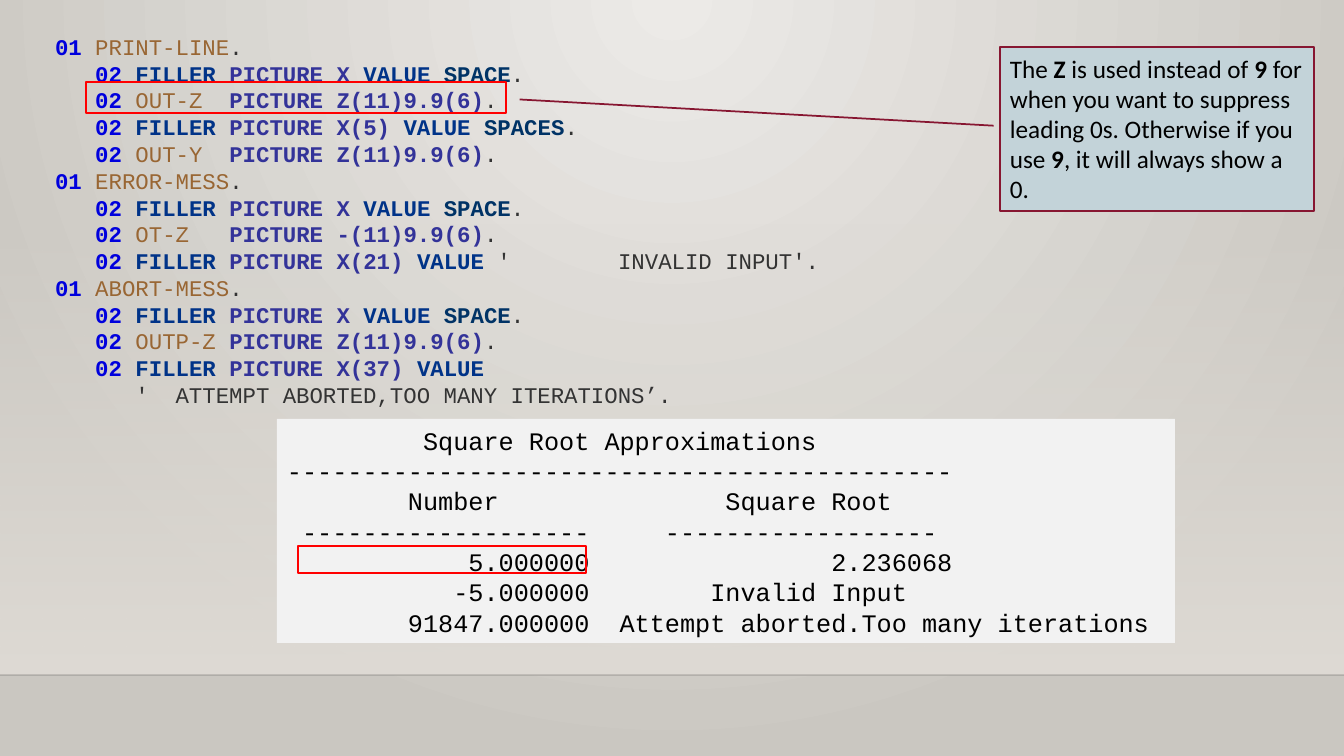
import dataclasses

import lxml.etree
import pptx
import pptx.dml.color
import pptx.enum.dml
import pptx.enum.shapes
import pptx.enum.text
import pptx.oxml
import pptx.oxml.ns
import pptx.util

SHAPE = pptx.enum.shapes.MSO_SHAPE
ANCHOR = pptx.enum.text.MSO_ANCHOR
PX = 914400 / 100.8


@dataclasses.dataclass(frozen=True)
class Theme:
    mono: str = "Courier New"
    sans: str = "Calibri"
    code_size: int = 16
    report_size: int = 18
    note_size: int = 18
    code_pitch: float = 19.12
    report_pitch: float = 21.67
    note_pitch: float = 21.43
    center: str = "ECEAE7"
    edge: str = "CAC7C1"
    wall: str = "DFDBD5"
    floor: str = "000001"
    ink: str = "000000"
    mark: str = "FF0000"
    report: str = "F2F2F2"
    note: str = "C3D3D9"
    note_line: str = "871631"
    outline: float = 1.25
    level: str = "0000DD"
    name: str = "996633"
    word: str = "003388"
    picture: str = "333399"
    constant: str = "003366"
    plain: str = "333333"


def px(length):
    return pptx.util.Emu(round(length * PX))


def rgb(value):
    return pptx.dml.color.RGBColor.from_string(value)


def apply(target, formats):
    for key, value in formats.items():
        setattr(target, key, value)


class SlideBuilder:
    def __init__(self, slide, theme):
        self.slide = slide
        self.theme = theme

    def gradient(self, fill, colors):
        fill.gradient()
        for stop, color in zip(fill.gradient_stops, colors):
            stop.color.rgb = rgb(color)

    def alpha(self, color_node, percent):
        lxml.etree.SubElement(color_node, pptx.oxml.ns.qn("a:alpha"), val=str(percent * 1000))

    def background(self):
        background = self.slide.background
        self.gradient(background.fill, (self.theme.center, self.theme.edge))
        linear = next(self.slide.element.iter(pptx.oxml.ns.qn("a:lin")))
        radial = pptx.oxml.parse_xml(
            f'<a:path {pptx.oxml.ns.nsdecls("a")} path="circle">'
            '<a:fillToRect l="43000" t="0" r="43000" b="100000"/></a:path>')
        linear.getparent().replace(linear, radial)

    def shape(self, kind, box, fill=None, line=None):
        shape = self.slide.shapes.add_shape(kind, *map(px, box))
        shape.shadow.inherit = False
        if fill:
            shape.fill.solid()
            shape.fill.fore_color.rgb = rgb(fill)
        else:
            shape.fill.background()
        if line:
            shape.line.color.rgb = rgb(line)
            shape.line.width = pptx.util.Pt(self.theme.outline)
        else:
            shape.line.fill.background()
        return shape

    def wall(self, box):
        wall = self.shape(SHAPE.RECTANGLE, box)
        self.gradient(wall.fill, (self.theme.wall, self.theme.wall))
        wall.fill.gradient_angle = 270
        first_color = next(wall.element.iter(pptx.oxml.ns.qn("a:srgbClr")))
        self.alpha(first_color, 0)

    def floor_line(self, y, width):
        line = self.slide.shapes.add_connector(
            pptx.enum.shapes.MSO_CONNECTOR.STRAIGHT, 0, px(y), px(width), px(y))
        line.line.color.rgb = rgb(self.theme.floor)
        line.line.width = pptx.util.Pt(1)
        self.alpha(next(line.element.iter(pptx.oxml.ns.qn("a:srgbClr"))), 20)
        lxml.etree.SubElement(line.element.spPr, pptx.oxml.ns.qn("a:effectLst"))

    def set_text(self, shape, lines, font, size, pitch, anchor, inset=(10, 5)):
        frame = shape.text_frame
        across, down = map(px, inset)
        apply(frame, {"word_wrap": True, "vertical_anchor": anchor,
                      "margin_left": across, "margin_right": across,
                      "margin_top": down, "margin_bottom": down})
        for index, line in enumerate(lines):
            paragraph = frame.add_paragraph() if index else frame.paragraphs[0]
            apply(paragraph, {"alignment": pptx.enum.text.PP_ALIGN.LEFT,
                              "line_spacing": pptx.util.Pt(pitch)})
            for text, color, bold in line:
                run = paragraph.add_run()
                run.text = text
                apply(run.font, {"name": font, "size": pptx.util.Pt(size), "bold": bold})
                run.font.color.rgb = rgb(color)

    def code(self, box, lines):
        listing = self.slide.shapes.add_textbox(*map(px, box))
        self.set_text(listing, lines, self.theme.mono, self.theme.code_size,
                      self.theme.code_pitch, ANCHOR.TOP, (10, 0))

    def report(self, box, lines):
        panel = self.shape(SHAPE.RECTANGLE, box, fill=self.theme.report)
        rows = [[(line, self.theme.ink, False)] for line in lines]
        self.set_text(panel, rows, self.theme.mono, self.theme.report_size,
                      self.theme.report_pitch, ANCHOR.MIDDLE)

    def highlight(self, box):
        self.shape(SHAPE.RECTANGLE, box, line=self.theme.mark)

    def callout(self, box, pointer, parts):
        note = self.shape(SHAPE.LINE_CALLOUT_1, box, self.theme.note, self.theme.note_line)
        for index, value in enumerate(pointer):
            note.adjustments[index] = value
        words = [(text, self.theme.ink, bold) for text, bold in parts]
        self.set_text(note, [words], self.theme.sans, self.theme.note_size,
                      self.theme.note_pitch, ANCHOR.MIDDLE)


def group(theme, name):
    return [("01 ", theme.level, True), (name, theme.name, False), (".", theme.plain, False)]


def field(theme, name, picture):
    return [("   ", theme.plain, False), ("02 ", theme.level, True),
            (name, theme.name, False), ("PICTURE " + picture, theme.picture, True),
            (".", theme.plain, False)]


def filler(theme, picture, *value):
    return [("   ", theme.plain, False), ("02 ", theme.level, True),
            ("FILLER ", theme.word, True), (f"PICTURE {picture} ", theme.picture, True),
            ("VALUE ", theme.word, True), *value]


def constant(theme, word):
    return (word, theme.constant, True), (".", theme.plain, False)


def main():
    presentation = pptx.Presentation()
    apply(presentation, {"slide_width": px(1344), "slide_height": px(756)})
    theme = Theme()
    slide = presentation.slides.add_slide(presentation.slide_layouts[6])
    builder = SlideBuilder(slide, theme)
    builder.background()
    builder.wall((0, 223, 1344, 452))
    builder.floor_line(675, 1344)

    blank = filler(theme, "X", *constant(theme, "SPACE"))
    number = "Z(11)9.9(6)"
    builder.code((45, 33, 904, 375), [
        group(theme, "PRINT-LINE"),
        blank,
        field(theme, "OUT-Z  ", number),
        filler(theme, "X(5)", *constant(theme, "SPACES")),
        field(theme, "OUT-Y  ", number),
        group(theme, "ERROR-MESS"),
        blank,
        field(theme, "OT-Z   ", "-(11)9.9(6)"),
        filler(theme, "X(21)", ("'        INVALID INPUT'.", theme.plain, False)),
        group(theme, "ABORT-MESS"),
        blank,
        field(theme, "OUTP-Z ", number),
        filler(theme, "X(37)"),
        [("      '  ATTEMPT ABORTED,TOO MANY ITERATIONS’.", theme.plain, False)],
    ])
    builder.highlight((86, 82, 420, 31))
    builder.report((277, 419, 898, 224), [
        "         Square Root Approximations",
        "-" * 44,
        "        Number               Square Root",
        " -------------------     ------------------",
        "            5.000000                2.236068",
        "           -5.000000        Invalid Input",
        "        91847.000000  Attempt aborted.Too many iterations",
    ])
    builder.highlight((298, 546, 288, 27))
    builder.callout((1000, 47, 314, 164), (0.48, -0.02, 0.32, -1.53), [
        ("The ", False), ("Z", True), (" is used instead of ", False), ("9", True),
        (" for when you want to suppress leading 0s. Otherwise if you use ", False),
        ("9", True), (", it will always show a 0.", False),
    ])
    presentation.save("out.pptx")


if __name__ == "__main__":
    main()
